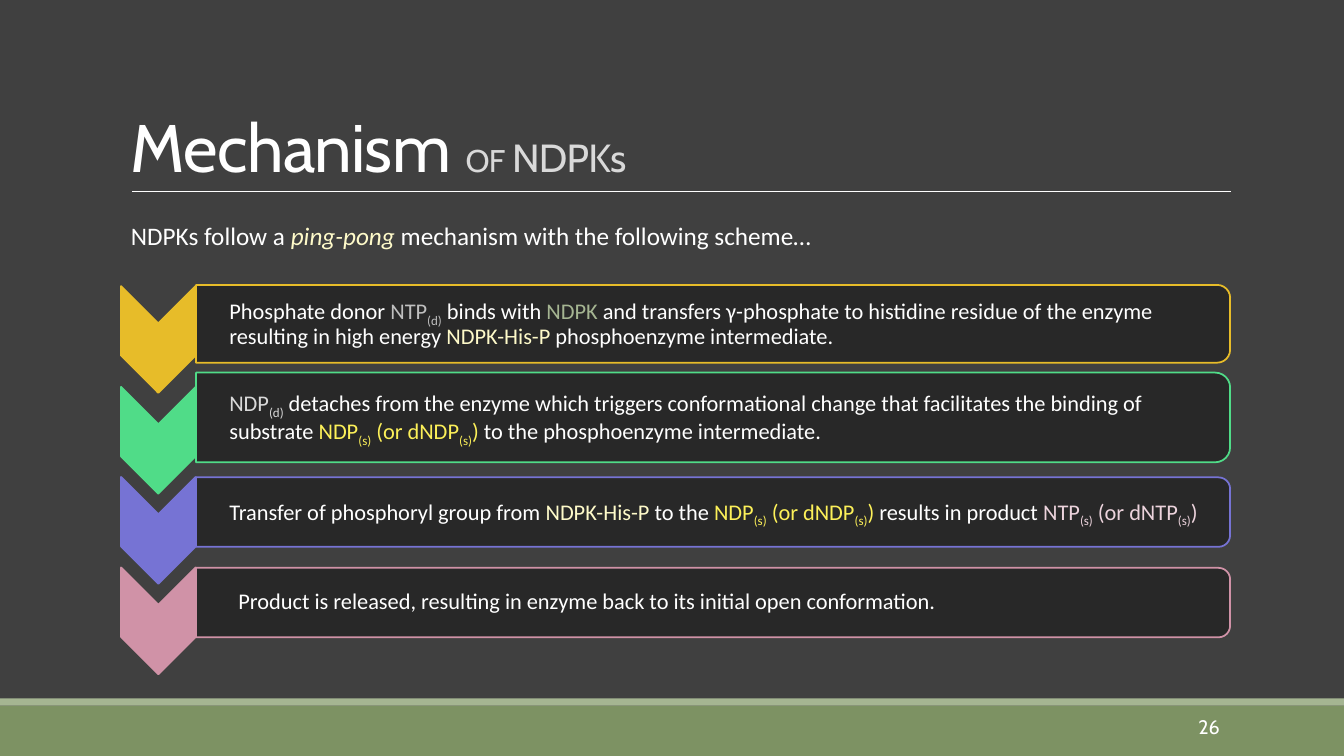
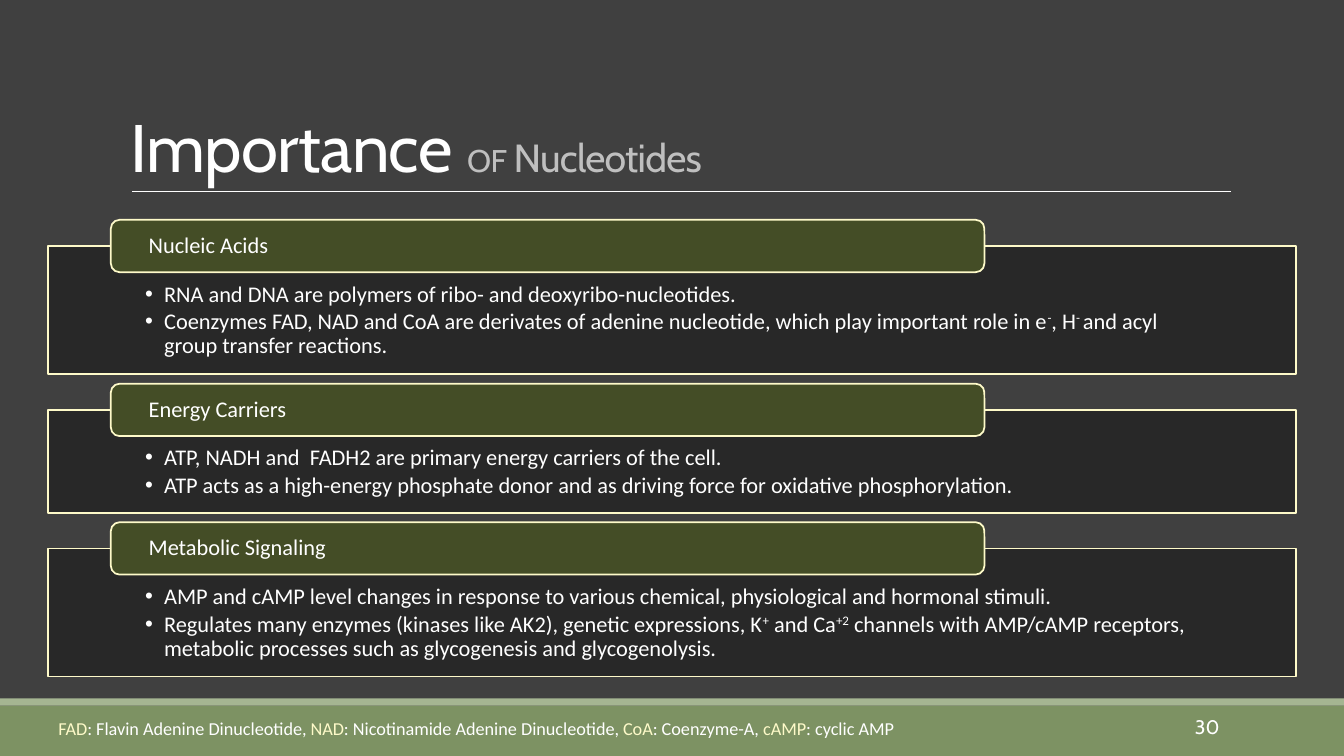
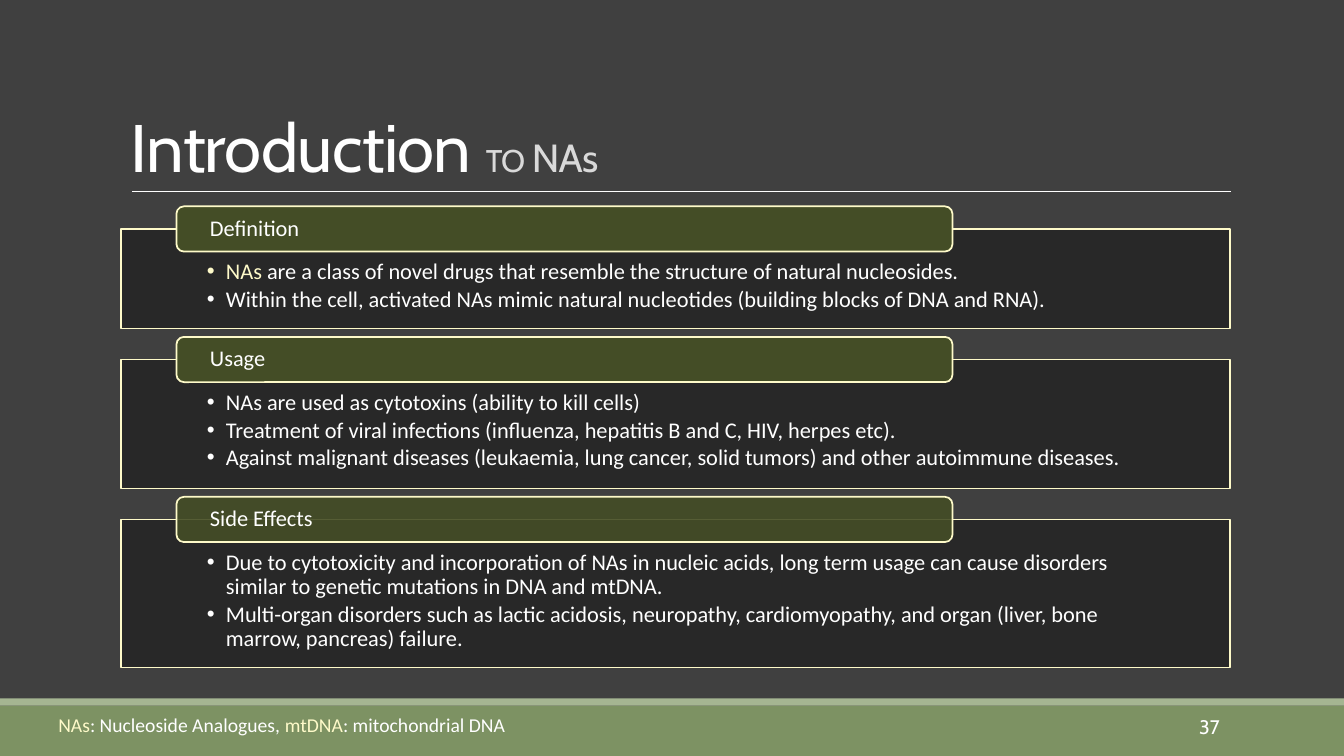
"""Build three slides on nucleotide kinases, nucleotides and nucleoside analogues."""
from dataclasses import dataclass

from lxml import etree
from pptx import Presentation
from pptx.dml.color import RGBColor
from pptx.enum import shapes, text
from pptx.oxml import ns
from pptx.util import Cm, Pt


@dataclass(frozen=True)
class Theme:
    background: str = "404040"
    band: str = "7D9263"
    stripe: str = "A5B592"
    panel: str = "262626"
    header: str = "444D26"
    white: str = "FFFFFF"
    light: str = "D9D9D9"
    silver: str = "BFBFBF"
    cream: str = "FEFAC9"
    yellow: str = "FCF059"
    pink: str = "ECD3DC"
    gold: str = "E7BC29"
    mint: str = "50DC88"
    violet: str = "7673D4"
    rose: str = "D092A7"
    heading_font: str = "Cabin"
    body_font: str = "Calibri"
    title_size: int = 48
    subtitle_size: int = 28
    lead_size: int = 18
    text_size: int = 16
    number_size: int = 14
    outline: float = 1.25
    hairline: float = 0.5


THEME = Theme()
WIDTH, HEIGHT = 33.87, 19.05
TITLE_BOX = (3.05, 0.79, 27.94, 4.04)
BODY_BOX = (3.05, 5.51, 27.94, 11.18)
NUMBER_BOX = (27.36, 17.81, 3.63, 1.02)
BANDS = [((0, 17.78, WIDTH, 1.27), THEME.band), ((0, 17.6, WIDTH, 0.18), THEME.stripe)]
RULE = (3.33, 31.01, 4.82)
SUB, SUPER = -25, 30
BULLET_INDENT = 0.48
CHEVRON_LEFT, CHEVRON_WIDTH, CHEVRON_HEIGHT = 3.05, 1.88, 2.69
STEP_LEFT, STEP_WIDTH = 4.94, 26.06

SUBSTRATE = [("NDP", THEME.yellow), ("(s)", THEME.yellow, SUB), (" (or dNDP", THEME.yellow),
             ("(s)", THEME.yellow, SUB), (")", THEME.yellow)]
PRODUCT = [("NTP", THEME.pink), ("(s)", THEME.pink, SUB), (" (or dNTP", THEME.pink),
           ("(s)", THEME.pink, SUB), (")", THEME.pink)]

MECHANISM = {
    "title": ("Mechanism ", "of", " NDPKs", THEME.light),
    "number": "26",
    "lead": ["NDPKs follow a ", ("ping-pong", THEME.cream, 0, True),
             " mechanism with the following scheme…"],
    "steps": [
        {"color": THEME.gold, "chevron": 7.21, "top": 7.18, "height": 1.96, "inset": 0.84,
         "text": ["Phosphate donor ", ("NTP", THEME.silver), ("(d)", THEME.silver, SUB),
                  " binds with ", ("NDPK", THEME.stripe),
                  " and transfers γ-phosphate to histidine residue of the enzyme "
                  "resulting in high energy ",
                  ("NDPK-His-P ", THEME.cream), "phosphoenzyme intermediate."]},
        {"color": THEME.mint, "chevron": 9.75, "top": 9.39, "height": 2.26, "inset": 0.84,
         "text": [("NDP", THEME.light), ("(d)", THEME.light, SUB),
                  " detaches from the enzyme which triggers conformational change that "
                  "facilitates the binding of substrate ",
                  *SUBSTRATE, " to the phosphoenzyme intermediate."]},
        {"color": THEME.violet, "chevron": 12.02, "top": 12.03, "height": 1.75, "inset": 0.84,
         "text": ["Transfer of phosphoryl group from ", ("NDPK-His-P", THEME.cream), " to the ",
                  *SUBSTRATE, " results in product ", *PRODUCT]},
        {"color": THEME.rose, "chevron": 14.3, "top": 14.31, "height": 1.75, "inset": 1.07,
         "text": ["Product is released, resulting in enzyme back to its initial open "
                  "conformation."]},
    ],
}

IMPORTANCE = {
    "title": ("Importance ", "of", " Nucleotides", THEME.silver),
    "number": "30",
    "stack": {"left": 1.22, "top": 6.2, "width": 31.45, "gap": 0.9, "header": 1.32},
    "panels": [
        ("Nucleic Acids", 3.23, 100, [
            ["RNA and DNA are polymers of ribo- and deoxyribo-nucleotides."],
            ["Coenzymes FAD, NAD and CoA are derivates of adenine nucleotide, which play "
             "important role in e", ("-", THEME.white, SUPER), ", H",
             ("- ", THEME.white, SUPER), "and acyl group transfer reactions."]]),
        ("Energy Carriers", 2.59, 100, [
            ["ATP, NADH and  FADH2 are primary energy carriers of the cell."],
            ["ATP acts as a high-energy phosphate donor and as driving force for oxidative "
             "phosphorylation."]]),
        ("Metabolic Signaling", 3.23, 100, [
            ["AMP and cAMP level changes in response to various chemical, physiological and "
             "hormonal stimuli."],
            ["Regulates many enzymes (kinases like AK2), genetic expressions, K",
             ("+", THEME.white, SUPER), " and Ca", ("+2", THEME.white, SUPER),
             " channels with AMP/cAMP receptors, metabolic processes such as glycogenesis "
             "and glycogenolysis."]]),
    ],
    "note": ((1.22, 17.83, 23.55, 1.02), 13, [
        ("FAD", THEME.cream), ": Flavin Adenine Dinucleotide, ",
        ("NAD", THEME.cream), ": Nicotinamide Adenine Dinucleotide, ",
        ("CoA", THEME.cream), ": Coenzyme-A, ", ("cAMP", THEME.cream), ": cyclic AMP"]),
}

INTRODUCTION = {
    "title": ("Introduction ", "to", " NAs", THEME.light),
    "number": "37",
    "stack": {"left": 3.05, "top": 5.77, "width": 27.94, "gap": 0.78, "header": 1.14},
    "panels": [
        ("Definition", 2.51, 100, [
            [("NAs", THEME.cream), " are a class of novel drugs that resemble the structure of "
             "natural nucleosides."],
            ["Within the cell, activated NAs mimic natural nucleotides (building blocks of DNA "
             "and RNA)."]]),
        ("Usage", 3.25, 100, [
            ["NAs are used as cytotoxins (ability to kill cells)"],
            ["Treatment of viral infections (influenza, hepatitis B and C, HIV, herpes etc)."],
            ["Against malignant diseases (leukaemia, lung cancer, solid tumors) and other "
             "autoimmune diseases."]]),
        ("Side Effects", 3.73, 90, [
            ["Due to cytotoxicity and incorporation of NAs in nucleic acids, long term usage can "
             "cause disorders similar to genetic mutations in DNA and mtDNA."],
            ["Multi-organ disorders such as lactic acidosis, neuropathy, cardiomyopathy, and "
             "organ (liver, bone marrow, pancreas) failure."]]),
    ],
    "note": ((1.22, 17.75, 22.43, 1.02), 14, [
        ("NAs", THEME.cream), ": Nucleoside Analogues, ",
        ("mtDNA", THEME.cream), ": mitochondrial DNA"]),
}


def place(shape, box):
    shape.left, shape.top, shape.width, shape.height = (Cm(length) for length in box)


def add_run(paragraph, piece, size, font=THEME.body_font):
    words, color, baseline, italic = piece, THEME.white, 0, False
    if isinstance(piece, tuple):
        words, color, baseline, italic = (*piece, 0, False)[:4] if len(piece) < 4 else piece
    run = paragraph.add_run()
    run.text = words
    run.font.name, run.font.size = font, Pt(size)
    run.font.color.rgb = RGBColor.from_string(color)
    if italic:
        run.font.italic = True
    if baseline:
        run.font._element.set("baseline", str(baseline * 1000))
    return run


def add_runs(paragraph, pieces, size, font=THEME.body_font):
    for piece in pieces:
        add_run(paragraph, piece, size, font)


def set_frame(frame, insets=(0.25, 0.13, 0.25, 0.13), anchor=text.MSO_ANCHOR.MIDDLE):
    frame.word_wrap = True
    frame.auto_size = text.MSO_AUTO_SIZE.NONE
    frame.vertical_anchor = anchor
    frame.margin_left, frame.margin_top, frame.margin_right, frame.margin_bottom = (
        Cm(inset) for inset in insets)


def set_paragraph(paragraph, spacing=0.9, after=0, align=text.PP_ALIGN.LEFT):
    paragraph.alignment = align
    paragraph.line_spacing = spacing
    paragraph.space_before, paragraph.space_after = Pt(0), Pt(after)


def set_bullet(paragraph, indent=0, mark=None):
    properties = paragraph._p.get_or_add_pPr()
    properties.set("marL", str(Cm(indent)))
    properties.set("indent", str(-Cm(indent)))
    if mark:
        etree.SubElement(properties, ns.qn("a:buFont")).set("typeface", "Arial")
        etree.SubElement(properties, ns.qn("a:buChar")).set("char", mark)
    else:
        etree.SubElement(properties, ns.qn("a:buNone"))


def add_box(slide, kind, box, fill, line=None, opacity=100):
    shape = slide.shapes.add_shape(kind, *(Cm(length) for length in box))
    shape.shadow.inherit = False
    shape.fill.solid()
    shape.fill.fore_color.rgb = RGBColor.from_string(fill)
    if opacity < 100:
        color = shape._element.spPr.find(ns.qn("a:solidFill"))[0]
        etree.SubElement(color, ns.qn("a:alpha")).set("val", str(opacity * 1000))
    if line:
        shape.line.color.rgb = RGBColor.from_string(line)
        shape.line.width = Pt(THEME.outline)
    else:
        shape.line.fill.background()
    return shape


def add_turned_box(slide, kind, box, fill, line, opacity=100):
    left, top, width, height = box
    shift = (width - height) / 2
    shape = add_box(slide, kind, (left + shift, top - shift, height, width), fill, line, opacity)
    shape.rotation = 90


def add_label(slide, box, pieces, size, insets=(0.25, 0.13, 0.25, 0.13), spacing=1.0,
              align=text.PP_ALIGN.LEFT, font=THEME.body_font):
    frame = slide.shapes.add_textbox(*(Cm(length) for length in box)).text_frame
    set_frame(frame, insets)
    set_paragraph(frame.paragraphs[0], spacing, align=align)
    add_runs(frame.paragraphs[0], pieces, size, font)


def dress_master(master, slide):
    master.background.fill.solid()
    master.background.fill.fore_color.rgb = RGBColor.from_string(THEME.background)
    title, body = master.placeholders[0], master.placeholders[1]
    place(title, TITLE_BOX)
    set_frame(title.text_frame, anchor=text.MSO_ANCHOR.BOTTOM)
    place(body, BODY_BOX)
    set_frame(body.text_frame, (0, 0.13, 0, 0.13), text.MSO_ANCHOR.TOP)
    parts = [add_box(slide, shapes.MSO_SHAPE.RECTANGLE, box, fill) for box, fill in BANDS]
    start, end, height = RULE
    rule = slide.shapes.add_connector(
        shapes.MSO_CONNECTOR.STRAIGHT, Cm(start), Cm(height), Cm(end), Cm(height))
    rule.line.color.rgb = RGBColor.from_string(THEME.white)
    rule.line.width = Pt(THEME.hairline)
    etree.SubElement(rule._element.spPr, ns.qn("a:effectLst"))
    for number, part in enumerate([*parts, rule], 101):
        part._element.xpath(".//p:cNvPr")[0].set("id", str(number))
        master.shapes._spTree.append(part._element)


def add_title(slide, title):
    topic, link, subject, color = title
    paragraph = slide.shapes.title.text_frame.paragraphs[0]
    set_paragraph(paragraph, 0.85)
    font = THEME.heading_font
    runs = [add_run(paragraph, topic, THEME.title_size, font),
            add_run(paragraph, (link, color), THEME.subtitle_size, font),
            add_run(paragraph, (subject, color), THEME.subtitle_size, font)]
    for run in runs:
        run.font._element.set("spc", "-50")
    runs[1].font._element.set("cap", "small")


def add_lead(slide, pieces):
    paragraph = slide.placeholders[1].text_frame.paragraphs[0]
    set_bullet(paragraph, 0)
    set_paragraph(paragraph, after=2)
    paragraph._p.pPr.set("marL", str(Cm(0.25)))
    add_runs(paragraph, pieces, THEME.lead_size)


def add_step(slide, step):
    chevron = (CHEVRON_LEFT, step["chevron"], CHEVRON_WIDTH, CHEVRON_HEIGHT)
    bar = (STEP_LEFT, step["top"], STEP_WIDTH, step["height"])
    add_turned_box(slide, shapes.MSO_SHAPE.CHEVRON, chevron, step["color"], step["color"])
    add_turned_box(slide, shapes.MSO_SHAPE.ROUND_2_SAME_RECTANGLE, bar, THEME.panel,
                   step["color"], 90)
    add_label(slide, bar, step["text"], THEME.text_size, (step["inset"], 0.03, 0.03, 0.03), 0.9)


def add_panels(slide, stack, panels):
    left, top, width, header_height = (stack[key] for key in ("left", "top", "width", "header"))
    side, head_side = 0.0775 * width, 0.0283 * width
    for name, height, opacity, items in panels:
        panel = add_box(slide, shapes.MSO_SHAPE.RECTANGLE, (left, top, width, height),
                        THEME.panel, THEME.cream, 90)
        frame = panel.text_frame
        set_frame(frame, (side, 0.7 * header_height, side, 0.3), text.MSO_ANCHOR.TOP)
        for index, pieces in enumerate(items):
            paragraph = frame.add_paragraph() if index else frame.paragraphs[0]
            set_bullet(paragraph, BULLET_INDENT, "•")
            set_paragraph(paragraph, after=2.5)
            add_runs(paragraph, pieces, THEME.text_size)
        header = add_box(
            slide, shapes.MSO_SHAPE.ROUNDED_RECTANGLE,
            (left + 0.05 * width, top - header_height / 2, 0.7 * width, header_height),
            THEME.header, THEME.cream, opacity)
        set_frame(header.text_frame, (head_side, 0, head_side, 0))
        set_paragraph(header.text_frame.paragraphs[0])
        add_run(header.text_frame.paragraphs[0], name, THEME.text_size)
        top += height + stack["gap"]


def main():
    presentation = Presentation()
    presentation.slide_width, presentation.slide_height = Cm(WIDTH), Cm(HEIGHT)
    with_body, title_only = presentation.slide_layouts[1], presentation.slide_layouts[5]
    for index, content in enumerate([MECHANISM, IMPORTANCE, INTRODUCTION]):
        slide = presentation.slides.add_slide(with_body if "lead" in content else title_only)
        if index == 0:
            dress_master(presentation.slide_master, slide)
        add_title(slide, content["title"])
        add_label(slide, NUMBER_BOX, [content["number"]], THEME.number_size,
                  align=text.PP_ALIGN.RIGHT, font=THEME.heading_font)
        if "lead" in content:
            add_lead(slide, content["lead"])
        for step in content.get("steps", []):
            add_step(slide, step)
        if "panels" in content:
            add_panels(slide, content["stack"], content["panels"])
        if "note" in content:
            box, size, pieces = content["note"]
            add_label(slide, box, pieces, size)
    presentation.save("out.pptx")


if __name__ == "__main__":
    main()
